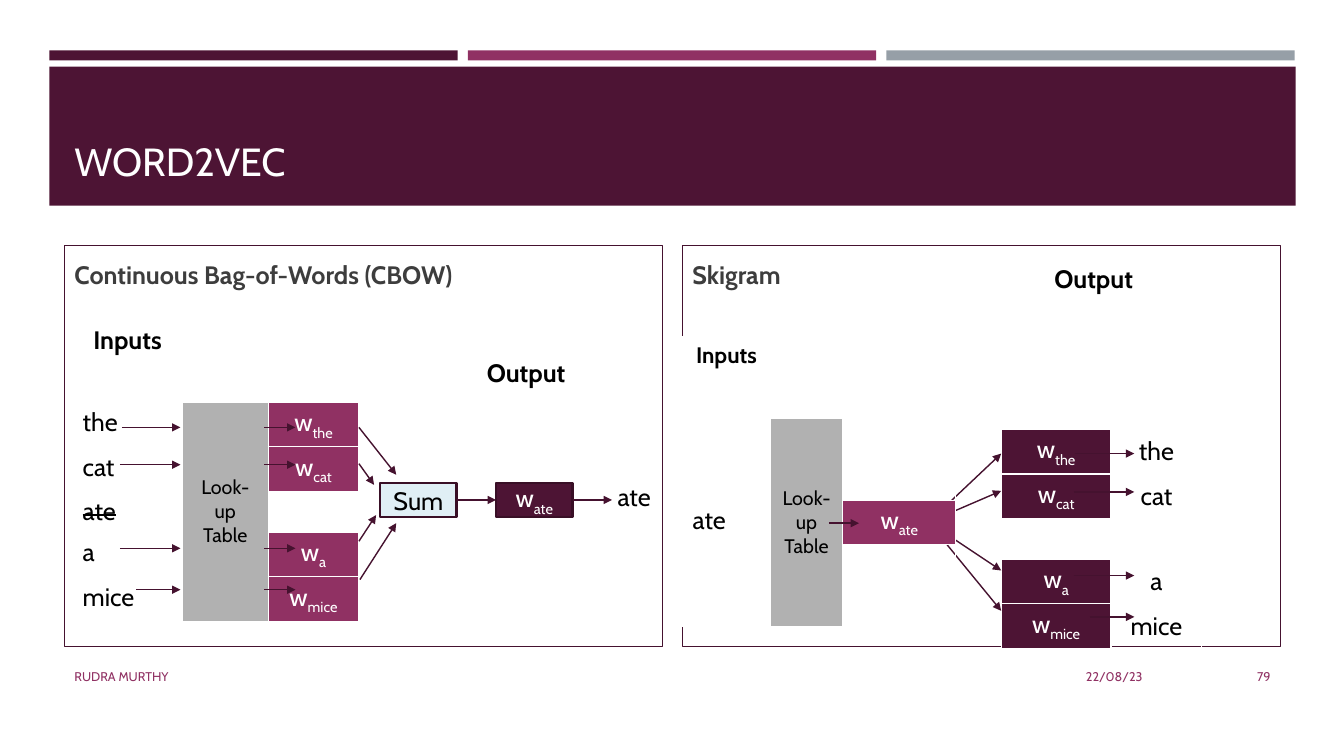
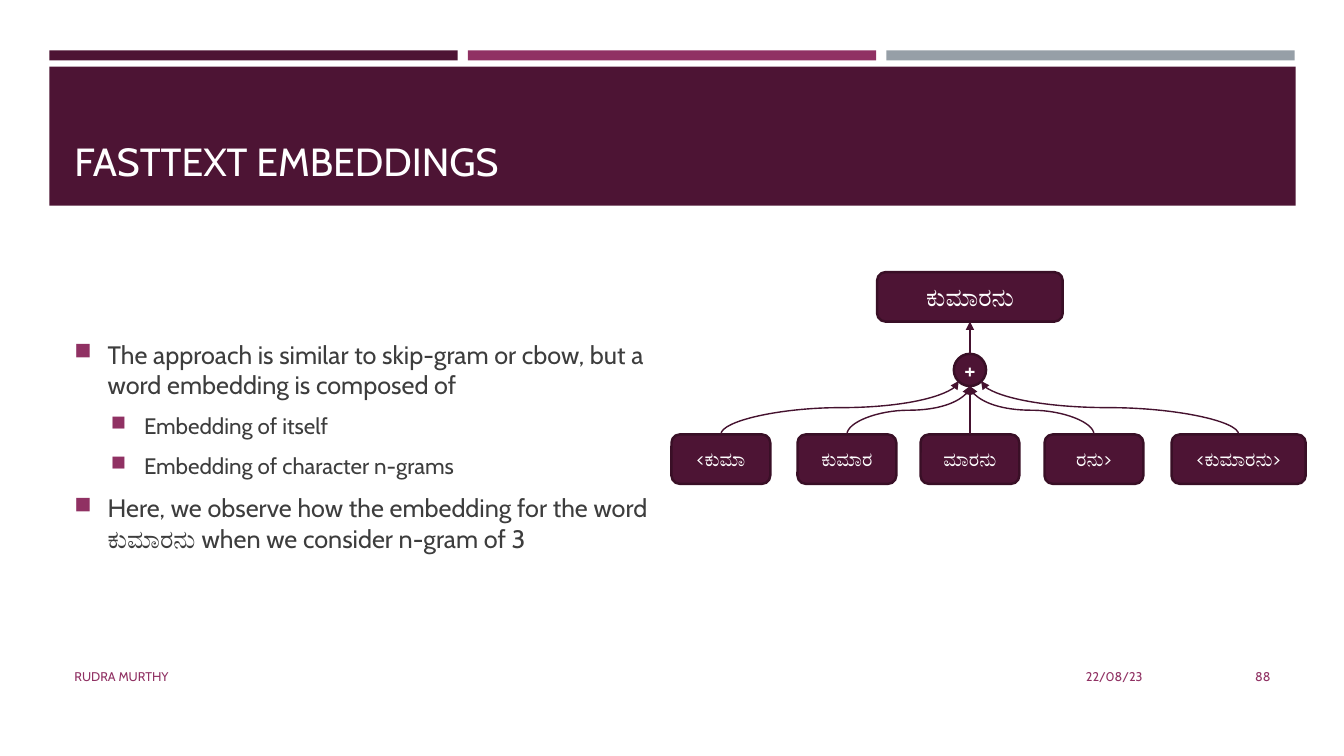
from dataclasses import dataclass

from lxml import etree
from pptx import Presentation
from pptx.dml.color import RGBColor
from pptx.enum.shapes import MSO_CONNECTOR, MSO_SHAPE
from pptx.enum.text import MSO_ANCHOR, PP_ALIGN
from pptx.oxml.ns import qn
from pptx.util import Inches, Pt

RECTANGLE, ROUNDED, OVAL = MSO_SHAPE.RECTANGLE, MSO_SHAPE.ROUNDED_RECTANGLE, MSO_SHAPE.OVAL
STRAIGHT, CURVE = MSO_CONNECTOR.STRAIGHT, MSO_CONNECTOR.CURVE
LEFT, CENTER, RIGHT = PP_ALIGN.LEFT, PP_ALIGN.CENTER, PP_ALIGN.RIGHT
TOP, MIDDLE, BOTTOM = MSO_ANCHOR.TOP, MSO_ANCHOR.MIDDLE, MSO_ANCHOR.BOTTOM
SIDE_TOP, SIDE_LEFT, SIDE_BOTTOM, SIDE_RIGHT = range(4)


@dataclass(frozen=True)
class Theme:
    font: str = "Cabin"
    plum: str = "4D1434"
    magenta: str = "903163"
    slate: str = "969FA7"
    gray: str = "B1B1B1"
    pale_blue: str = "E0EFF5"
    line: str = "45122F"
    edge: str = "390F26"
    body: str = "3D3D3D"
    black: str = "000000"
    white: str = "FFFFFF"
    title_size: int = 28
    text_size: int = 18
    sub_size: int = 16
    small_size: int = 14
    footer_size: int = 9


THEME = Theme()


@dataclass(frozen=True)
class Box:
    left: float
    top: float
    width: float
    height: float

    def inside(self, left, top, width, height):
        return Box(self.left + left, self.top + top, width, height)

    def point(self, across, down):
        return self.left + across, self.top + down

    def lengths(self):
        return [Inches(value) for value in (self.left, self.top, self.width, self.height)]


LEFT_PANEL = Box(0.64, 2.44, 5.93, 3.97)
RIGHT_PANEL = Box(6.77, 2.44, 5.93, 3.97)


# Text and shapes
def set_values(target, values):
    for name, value in values.items():
        setattr(target, name, value)


def write(paragraph, text, size=THEME.text_size, color=THEME.black, bold=False,
          align=LEFT, strike=False):
    """Write text; whatever follows an underscore becomes a subscript."""
    paragraph.alignment = align
    for index, part in enumerate(text.split("_")):
        run = paragraph.add_run()
        run.text = part
        set_values(run.font, {"name": THEME.font, "size": Pt(size), "bold": bold})
        run.font.color.rgb = RGBColor.from_string(color)
        properties = run._r.get_or_add_rPr()
        if index:
            properties.set("baseline", "-25000")
        if strike:
            properties.set("strike", "sngStrike")


def add_text(slide, box, text, anchor=MIDDLE, wrap=True, **style):
    frame = slide.shapes.add_textbox(*box.lengths()).text_frame
    set_values(frame, {"word_wrap": wrap, "vertical_anchor": anchor})
    if text:
        write(frame.paragraphs[0], text, **style)
    return frame


def add_block(slide, kind, box, fill=None, edge=None, edge_width=1.75, text=None, **style):
    shape = slide.shapes.add_shape(kind, *box.lengths())
    shape.shadow.inherit = False
    if fill:
        shape.fill.solid()
        shape.fill.fore_color.rgb = RGBColor.from_string(fill)
    else:
        shape.fill.background()
    if edge:
        shape.line.color.rgb = RGBColor.from_string(edge)
        shape.line.width = Pt(edge_width)
    else:
        shape.line.fill.background()
    if text:
        frame = shape.text_frame
        set_values(frame, {"word_wrap": True, "vertical_anchor": MIDDLE,
                           "margin_left": 0, "margin_right": 0})
        write(frame.paragraphs[0], text, **{"align": CENTER, **style})
    return shape


# Arrows
def add_arrow(slide, start, end, kind=STRAIGHT, begin=None, finish=None):
    """Draw an arrow; begin and finish are (shape, side) pairs to join."""
    arrow = slide.shapes.add_connector(kind, *(Inches(value) for value in (*start, *end)))
    arrow.line.color.rgb = RGBColor.from_string(THEME.line)
    arrow.line.width = Pt(1)
    etree.SubElement(arrow.line._get_or_add_ln(), qn("a:tailEnd"), type="triangle")
    etree.SubElement(arrow._element.spPr, qn("a:effectLst"))
    if begin:
        arrow.begin_connect(*begin)
    if finish:
        arrow.end_connect(*finish)
    return arrow


def add_rising_curve(slide, start, end):
    """Draw an S curve that leaves upwards and arrives upwards."""
    run, rise = abs(end[0] - start[0]), start[1] - end[1]
    middle = (start[0] + end[0]) / 2, (start[1] + end[1]) / 2
    left, top = middle[0] - rise / 2, middle[1] - run / 2
    arrow = add_arrow(slide, (left, top), (left + rise, top + run), CURVE)
    frame = arrow._element.spPr.find(qn("a:xfrm"))
    frame.set("flipV", "1")
    if start[0] < end[0]:
        frame.set("flipH", "1")
        frame.set("rot", "5400000")
    else:
        frame.set("rot", "16200000")


# Tables
ROWS, TABLE_HEIGHT = 7, 2.84


def style_cell(cell, fill=None, anchor=TOP, text=None, **style):
    properties = cell._tc.get_or_add_tcPr()
    for side in ("lnL", "lnR", "lnT", "lnB"):
        border = etree.SubElement(properties, qn(f"a:{side}"), w=str(Pt(1)))
        paint = etree.SubElement(border, qn("a:solidFill"))
        etree.SubElement(paint, qn("a:srgbClr"), val=THEME.white)
    if fill:
        cell.fill.solid()
        cell.fill.fore_color.rgb = RGBColor.from_string(fill)
    else:
        cell.fill.background()
    cell.vertical_anchor = anchor
    if text:
        write(cell.text_frame.paragraphs[0], text, **style)


def add_grid(slide, corner, widths, cells, lookup=False):
    """Add a table; cells maps (row, column) to a cell style."""
    box = Box(*corner, sum(widths), TABLE_HEIGHT)
    table = slide.shapes.add_table(ROWS, len(widths), *box.lengths()).table
    set_values(table, {"first_row": False, "horz_banding": False})
    for column, width in zip(table.columns, widths):
        column.width = Inches(width)
    for row in table.rows:
        row.height = Inches(TABLE_HEIGHT / ROWS)
    if lookup:
        table.cell(2, 1).merge(table.cell(ROWS - 1, 1))
        cells = {**cells, (2, 1): dict(text="Look-up Table", size=THEME.small_size,
                                       fill=THEME.gray, align=CENTER, anchor=MIDDLE)}
    for row in range(ROWS):
        for column in range(len(widths)):
            style_cell(table.cell(row, column), **cells.get((row, column), {}))


def vector_cell(word, fill):
    return dict(text=f"w_{word}", fill=fill, color=THEME.white, align=CENTER, anchor=MIDDLE)


CONTEXT = {2: "the", 3: "cat", 5: "a", 6: "mice"}


# Shared frame of every slide
def add_slide(presentation, title, number):
    slide = presentation.slides.add_slide(presentation.slide_layouts[6])
    for index, color in enumerate((THEME.plum, THEME.magenta, THEME.slate)):
        add_block(slide, RECTANGLE, Box(0.49 + index * 4.15, 0.5, 4.05, 0.1), color)
    add_block(slide, RECTANGLE, Box(0.49, 0.66, 12.36, 1.38), THEME.plum)
    add_text(slide, Box(0.64, 0.8, 12.06, 1.08), title, BOTTOM,
             size=THEME.title_size, color=THEME.white)
    for left, width, text, align in ((0.64, 7.56, "RUDRA MURTHY", LEFT),
                                     (8.32, 3.11, "22/08/23", RIGHT),
                                     (11.55, 1.15, number, RIGHT)):
        add_text(slide, Box(left, 6.51, width, 0.4), text, align=align,
                 size=THEME.footer_size, color=THEME.magenta)
    return slide


def add_panel(slide, box, heading):
    shape = add_block(slide, RECTANGLE, box, edge=THEME.line, edge_width=0.75)
    frame = shape.text_frame
    set_values(frame, {"word_wrap": True, "vertical_anchor": TOP, "margin_top": Inches(0.13)})
    write(frame.paragraphs[0], heading, color=THEME.body, bold=True)


def add_output_label(slide, box):
    add_text(slide, box, "Output", TOP, wrap=False, bold=True)


# Word2vec regions
def draw_cbow(slide, box):
    add_panel(slide, box, "Continuous Bag-of-Words (CBOW)")
    cells = {(0, 0): dict(text="Inputs", bold=True, align=CENTER),
             (4, 0): dict(text="ate", strike=True)}
    for row, word in CONTEXT.items():
        cells[row, 0] = dict(text=word)
        cells[row, 2] = vector_cell(word, THEME.magenta)
    add_grid(slide, box.point(0.08, 0.74), (1.09, 0.85, 0.9), cells, lookup=True)

    total = add_block(slide, RECTANGLE, box.inside(3.13, 2.35, 0.76, 0.34),
                      THEME.pale_blue, THEME.edge, text="Sum")
    target = add_block(slide, RECTANGLE, box.inside(4.28, 2.35, 0.76, 0.34),
                       THEME.plum, THEME.edge, text="w_ate", color=THEME.white)

    # Word to table, then table to vector
    for start, down in ((0.57, 1.8), (0.55, 2.17), (0.55, 3), (0.71, 3.41)):
        add_arrow(slide, box.point(start, down), box.point(1.15, down))
        add_arrow(slide, box.point(1.98, down), box.point(2.29, down))
    # Vectors to sum
    for start, end in (((2.92, 1.8), (3.29, 2.27)), ((2.92, 2.16), (3.07, 2.37)),
                       ((2.92, 2.93), (3.09, 2.67)), ((2.93, 3.31), (3.29, 2.75))):
        add_arrow(slide, box.point(*start), box.point(*end))
    # Sum to output
    add_arrow(slide, box.point(3.89, 2.52), box.point(4.28, 2.52),
              begin=(total, SIDE_RIGHT), finish=(target, SIDE_LEFT))
    add_arrow(slide, box.point(5.04, 2.52), box.point(5.43, 2.52), begin=(target, SIDE_RIGHT))
    add_output_label(slide, box.inside(4.09, 1.06, 1.07, 0.4))
    add_text(slide, box.inside(5.27, 2.32, 0.76, 0.34), "ate", align=CENTER)


def draw_skipgram(slide, box):
    add_panel(slide, box, "Skigram")
    cells = {}
    for row, word in CONTEXT.items():
        cells[row, 0] = vector_cell(word, THEME.plum)
        cells[row, 1] = dict(text=word, align=CENTER, anchor=MIDDLE)
    add_grid(slide, box.point(3.16, 1.01), (1.09, 0.9), cells)

    # Vectors to words, and target vector to context vectors
    for start, down, fan_end in ((3.89, 2.06, 2.06), (3.88, 2.44, 2.43),
                                 (3.88, 3.27, 3.22), (4.04, 3.68, 3.62)):
        add_arrow(slide, box.point(start, down), box.point(4.48, down))
        add_arrow(slide, box.point(2.44, 2.74), box.point(3.16, fan_end))
    add_output_label(slide, box.inside(3.59, 0.12, 1.07, 0.4))

    cells = {(0, 0): dict(text="Inputs", size=THEME.sub_size, bold=True, align=CENTER),
             (4, 0): dict(text="ate"),
             (4, 2): vector_cell("ate", THEME.magenta)}
    add_grid(slide, box.point(0, 0.9), (0.87, 0.72, 1.12), cells, lookup=True)
    add_arrow(slide, box.point(1.45, 2.75), box.point(1.75, 2.75))


# FastText regions
def draw_bullets(slide, box, items):
    frame = add_text(slide, box, None)
    for index, (level, text) in enumerate(items):
        paragraph = frame.add_paragraph() if index else frame.paragraphs[0]
        properties = paragraph._p.get_or_add_pPr()
        properties.set("marL", str(Inches(0.33 + 0.36 * level)))
        properties.set("indent", str(-Inches(0.33)))
        color = etree.SubElement(properties, qn("a:buClr"))
        etree.SubElement(color, qn("a:srgbClr"), val=THEME.magenta)
        etree.SubElement(properties, qn("a:buSzPct"), val="92000")
        etree.SubElement(properties, qn("a:buChar"), char="■")
        set_values(paragraph, {"level": level, "space_before": Pt(3.4 if index else 0),
                               "space_after": Pt(6)})
        write(paragraph, text, size=THEME.sub_size if level else THEME.text_size,
              color=THEME.body)


def draw_ngram_tree(slide, box):
    look = dict(fill=THEME.plum, edge=THEME.edge, color=THEME.white)
    word = add_block(slide, ROUNDED, box.inside(2.04, 0, 1.84, 0.49), text="ಕುಮಾರನು", **look)
    plus = add_block(slide, OVAL, box.inside(2.8, 0.81, 0.32, 0.32), text="+", **look)
    grams = (("<ಕುಮಾ", 0, 0.98, (2.85, 1.08)), ("ಕುಮಾರ", 1.25, 0.98, (2.96, 1.13)),
             ("ಮಾರನು", 2.47, 0.98, (2.96, 1.13)), ("ರನು>", 3.7, 0.98, (2.96, 1.13)),
             ("<ಕುಮಾರನು>", 4.96, 1.33, (3.07, 1.08)))
    for text, left, width, end in grams:
        gram = add_block(slide, ROUNDED, box.inside(left, 1.61, width, 0.49), text=text,
                         size=THEME.small_size, **look)
        center = left + width / 2
        start, end_point = box.point(center, 1.61), box.point(*end)
        if abs(center - end[0]) < 0.05:
            add_arrow(slide, start, end_point, begin=(gram, SIDE_TOP))
        else:
            add_rising_curve(slide, start, end_point)
    add_arrow(slide, box.point(2.96, 0.81), box.point(2.96, 0.49),
              begin=(plus, SIDE_TOP), finish=(word, SIDE_BOTTOM))


def main():
    presentation = Presentation()
    set_values(presentation, {"slide_width": Inches(13.33), "slide_height": Inches(7.5)})

    slide = add_slide(presentation, "WORD2VEC", "79")
    draw_cbow(slide, LEFT_PANEL)
    draw_skipgram(slide, RIGHT_PANEL)

    slide = add_slide(presentation, "FASTTEXT EMBEDDINGS", "88")
    draw_bullets(slide, LEFT_PANEL, (
        (0, "The approach is similar to skip-gram or cbow, but a word embedding is composed of"),
        (1, "Embedding of itself"),
        (1, "Embedding of character n-grams"),
        (0, "Here, we observe how the embedding for the word ಕುಮಾರನು when we consider n-gram of 3"),
    ))
    draw_ngram_tree(slide, Box(6.66, 2.7, 6.29, 2.1))
    presentation.save("out.pptx")


if __name__ == "__main__":
    main()
